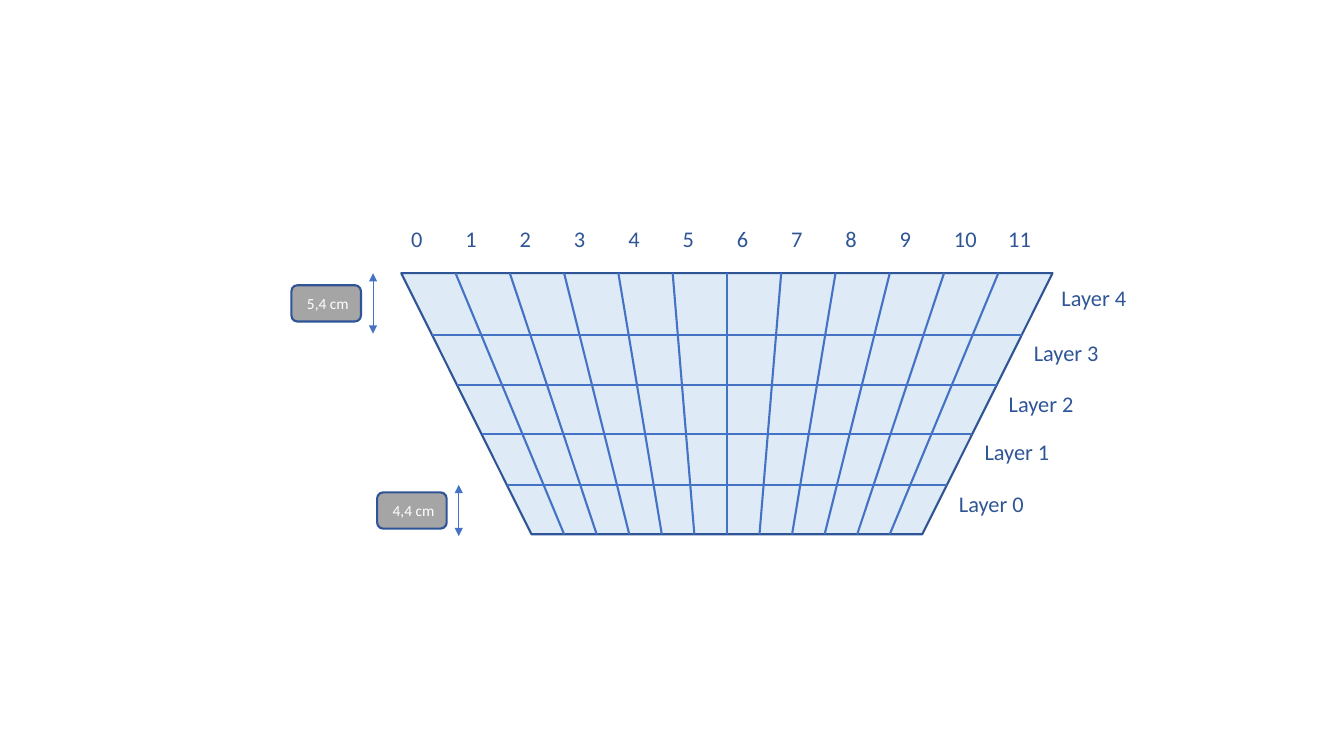
from lxml import etree
from pptx import Presentation
from pptx.dml.color import RGBColor
from pptx.enum.shapes import MSO_CONNECTOR, MSO_SHAPE
from pptx.enum.text import MSO_ANCHOR, PP_ALIGN
from pptx.oxml.ns import qn
from pptx.util import Inches, Pt

# Content
COLUMNS = [str(number) for number in range(12)]
LAYERS = [  # name, upper boundary, label top
    ("Layer 0", 4.81, 4.81),
    ("Layer 1", 4.31, 4.30),
    ("Layer 2", 3.82, 3.82),
    ("Layer 3", 3.32, 3.32),
    ("Layer 4", 2.71, 2.77),
]
HEIGHTS = [  # text, arrow x, arrow top, arrow bottom
    (" 4,4 cm", 4.55, 4.81, 5.32),
    (" 5,4 cm", 3.70, 2.71, 3.31),
]

# Geometry and colours
LEFT, TOP, WIDTH, HEIGHT = 3.98, 2.71, 6.46, 2.59
BOTTOM = TOP + HEIGHT
SLANT = WIDTH / 5  # inset of each lower corner
BADGE_WIDTH, BADGE_HEIGHT, BADGE_OFFSET = 0.69, 0.36, 0.81
FONT = "Calibri"
PALE, BLUE, NAVY, GREY, WHITE = "DEEBF7", "4472C4", "2F5597", "A5A5A5", "FFFFFF"


def color(value):
    return RGBColor.from_string(value)


def edge_inset(y):
    return SLANT * (y - TOP) / HEIGHT


def add_run(paragraph, text, size, shade):
    run = paragraph.add_run()
    run.text = text
    run.font.name = FONT
    run.font.size = Pt(size)
    run.font.color.rgb = color(shade)


def add_label(slide, text, left, top, width):
    label = slide.shapes.add_textbox(
        Inches(left), Inches(top), Inches(width), Inches(0.53))
    label.text_frame.word_wrap = True
    add_run(label.text_frame.paragraphs[0], text, 16, NAVY)


def add_box(slide, preset, left, top, width, height, fill):
    box = slide.shapes.add_shape(
        preset, Inches(left), Inches(top), Inches(width), Inches(height))
    box.shadow.inherit = False
    box.fill.solid()
    box.fill.fore_color.rgb = color(fill)
    box.line.color.rgb = color(NAVY)
    box.line.width = Pt(1.5)
    return box


def add_line(slide, x1, y1, x2, y2, width=1.5, arrows=False):
    line = slide.shapes.add_connector(
        MSO_CONNECTOR.STRAIGHT, Inches(x1), Inches(y1), Inches(x2), Inches(y2))
    line.line.color.rgb = color(BLUE)
    line.line.width = Pt(width)
    properties = line._element.spPr
    if arrows:
        outline = properties.find(qn("a:ln"))
        for end in ("a:headEnd", "a:tailEnd"):
            etree.SubElement(outline, qn(end), type="triangle")
    etree.SubElement(properties, qn("a:effectLst"))


def main():
    prs = Presentation()
    prs.slide_width, prs.slide_height = Inches(13.33), Inches(7.5)
    slide = prs.slides.add_slide(prs.slide_layouts[6])

    # Trapezoid
    add_box(slide, MSO_SHAPE.FLOWCHART_MANUAL_OPERATION,
            LEFT, TOP, WIDTH, HEIGHT, PALE)

    # Layer boundaries and names along the right edge
    for name, boundary, label_top in LAYERS:
        inset = edge_inset(boundary)
        right = LEFT + WIDTH - inset
        if boundary > TOP:
            add_line(slide, LEFT + inset, boundary, right, boundary)
        add_label(slide, name, LEFT + WIDTH - edge_inset(label_top) + 0.02,
                  label_top, 1.37)

    # Column separators and numbers
    top_step = WIDTH / len(COLUMNS)
    bottom_step = (WIDTH - 2 * SLANT) / len(COLUMNS)
    for index, number in enumerate(COLUMNS):
        column_left = LEFT + index * top_step
        if index:
            add_line(slide, column_left, TOP,
                     LEFT + SLANT + index * bottom_step, BOTTOM)
        add_label(slide, number, column_left, 2.18, 0.44 + 0.1 * len(number))

    # Layer heights with double arrows
    for text, x, top, bottom in HEIGHTS:
        add_line(slide, x, bottom, x, top, width=0.75, arrows=True)
        badge = add_box(slide, MSO_SHAPE.ROUNDED_RECTANGLE, x - BADGE_OFFSET,
                        (top + bottom - BADGE_HEIGHT) / 2,
                        BADGE_WIDTH, BADGE_HEIGHT, GREY)
        frame = badge.text_frame
        frame.word_wrap = False
        frame.vertical_anchor = MSO_ANCHOR.MIDDLE
        frame.paragraphs[0].alignment = PP_ALIGN.CENTER
        add_run(frame.paragraphs[0], text, 11, WHITE)

    prs.save("out.pptx")


if __name__ == "__main__":
    main()
